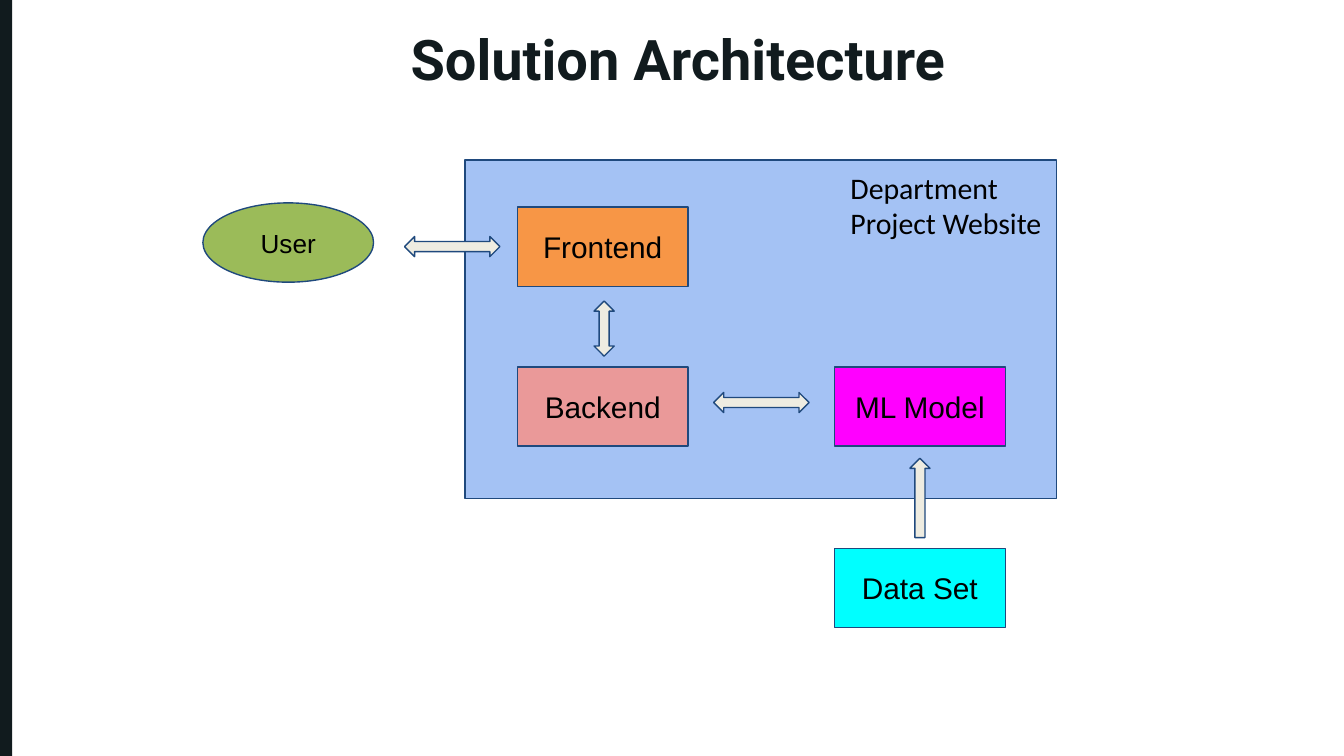
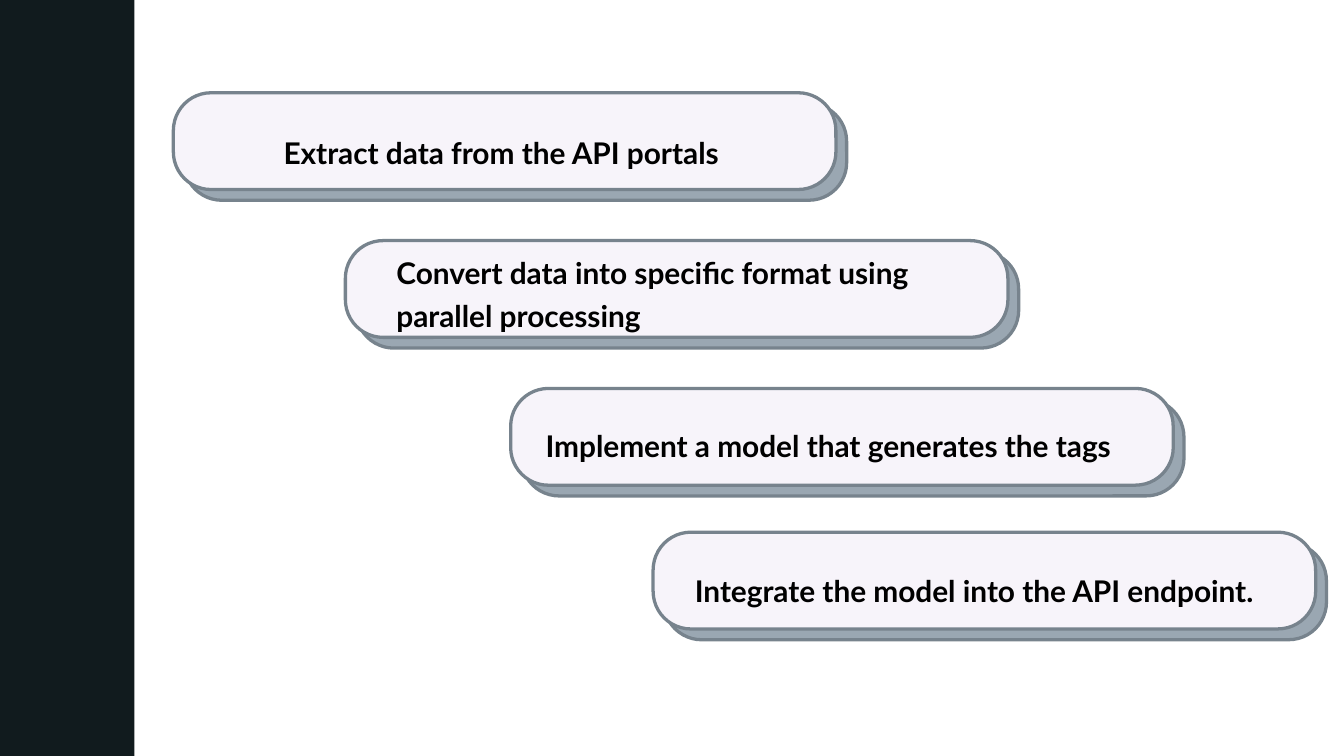
from pptx import Presentation
from pptx.dml.color import RGBColor
from pptx.enum.shapes import MSO_SHAPE as Kind
from pptx.enum.text import MSO_ANCHOR as Anchor, MSO_AUTO_SIZE as Fit, PP_ALIGN as Align
from pptx.util import Inches, Pt

WIDE = 10
HIGH = WIDE * 9 / 16
COLORS = {
    "dark": "111B1E", "black": "000000", "navy": "1F497D",
    "site": "A4C2F4", "front": "F79646", "back": "EA9999", "model": "FF00FF",
    "data": "00FFFF", "user": "9BBB59", "arrow": "EEECE1",
    "card": "F7F4FA", "shade": "9AA7B2", "edge": "77838D",
}


def draw(slide, kind, at, fill, edge=None, width=0.75):
    shape = slide.shapes.add_shape(kind, *map(Inches, at))
    shape.shadow.inherit = False
    shape.fill.solid()
    shape.fill.fore_color.rgb = RGBColor.from_string(COLORS[fill])
    if edge:
        shape.line.color.rgb = RGBColor.from_string(COLORS[edge])
        shape.line.width = Pt(width)
    else:
        shape.line.fill.background()
    return shape


def write(shape, text, font, size, color="black", bold=False, pad=0.1,
          align=Align.LEFT, anchor=Anchor.TOP, space=1, fit=Fit.SHAPE_TO_FIT_TEXT):
    frame = shape.text_frame
    frame.text = text
    frame.word_wrap = True
    frame.auto_size = fit
    frame.vertical_anchor = anchor
    frame.margin_left = frame.margin_right = Inches(pad)
    frame.margin_top = frame.margin_bottom = Inches(pad)
    for para in frame.paragraphs:
        para.alignment = align
        para.line_spacing = space
        for run in para.runs:
            run.font.name = font
            run.font.size = Pt(size)
            run.font.bold = bold
            run.font.color.rgb = RGBColor.from_string(COLORS[color])


deck = Presentation()
deck.slide_width, deck.slide_height = Inches(WIDE), Inches(HIGH)

# Solution architecture
slide = deck.slides.add_slide(deck.slide_layouts[5])
draw(slide, Kind.RECTANGLE, (0, 0, 0.09, HIGH), "dark")
title = slide.shapes.title
title.left, title.top = Inches(0.09), Inches(0.08)
title.width, title.height = Inches(9.91), Inches(0.5)
write(title, "Solution Architecture", "Roboto", 30, "dark", True, 0,
      Align.CENTER, space=1.2)

draw(slide, Kind.RECTANGLE, (3.46, 1.19, 4.4, 2.52), "site", "navy")

nodes = [
    ("Frontend", Kind.RECTANGLE, 3.85, 1.54, "front", 16),
    ("Backend", Kind.RECTANGLE, 3.85, 2.73, "back", 16),
    ("ML Model", Kind.RECTANGLE, 6.21, 2.73, "model", 16),
    ("User", Kind.OVAL, 1.51, 1.51, "user", 14),
    ("Data Set", Kind.RECTANGLE, 6.21, 4.08, "data", 16),
]
for name, kind, left, top, fill, size in nodes:
    node = draw(slide, kind, (left, top, 1.27, 0.59), fill, "navy")
    write(node, name, "Arial", size, align=Align.CENTER,
          anchor=Anchor.MIDDLE, fit=Fit.NONE)

arrows = [
    (Kind.UP_DOWN_ARROW, (4.42, 2.24, 0.15, 0.41)),
    (Kind.LEFT_RIGHT_ARROW, (5.31, 2.92, 0.71, 0.15)),
    (Kind.LEFT_RIGHT_ARROW, (3.01, 1.76, 0.71, 0.15)),
    (Kind.UP_ARROW, (6.77, 3.41, 0.15, 0.59)),
]
for kind, at in arrows:
    draw(slide, kind, at, "arrow", "navy")

label = slide.shapes.add_textbox(*map(Inches, (6.23, 1.16, 2.13, 0.74)))
write(label, "Department\nProject Website", "Calibri", 16)

# Steps
slide = deck.slides.add_slide(deck.slide_layouts[6])
draw(slide, Kind.RECTANGLE, (0, 0, 1, HIGH), "dark")

# Card left and top, then the box of its text
steps = [
    (1.29, 0.69, (2.11, 0.95, 3.81, 0.27), "Extract data from the API portals"),
    (2.57, 1.79, (2.95, 1.84, 4.27, 0.54),
     "Convert data into specific format using parallel processing"),
    (3.8, 2.89, (4.06, 3.13, 5.13, 0.27), "Implement a model that generates the tags"),
    (4.86, 3.96, (5.17, 4.21, 4.71, 0.27), "Integrate the model into the API endpoint."),
]
for left, top, at, text in steps:
    for shift, fill in ((0.08, "shade"), (0, "card")):
        card = draw(slide, Kind.ROUNDED_RECTANGLE,
                    (left + shift, top + shift, 4.93, 0.72), fill, "edge", 1.75)
        card.adjustments[0] = 0.39
    box = slide.shapes.add_textbox(*map(Inches, at))
    write(box, text, "Lato", 16, bold=True, pad=0, space=1.2)

deck.save("out.pptx")
